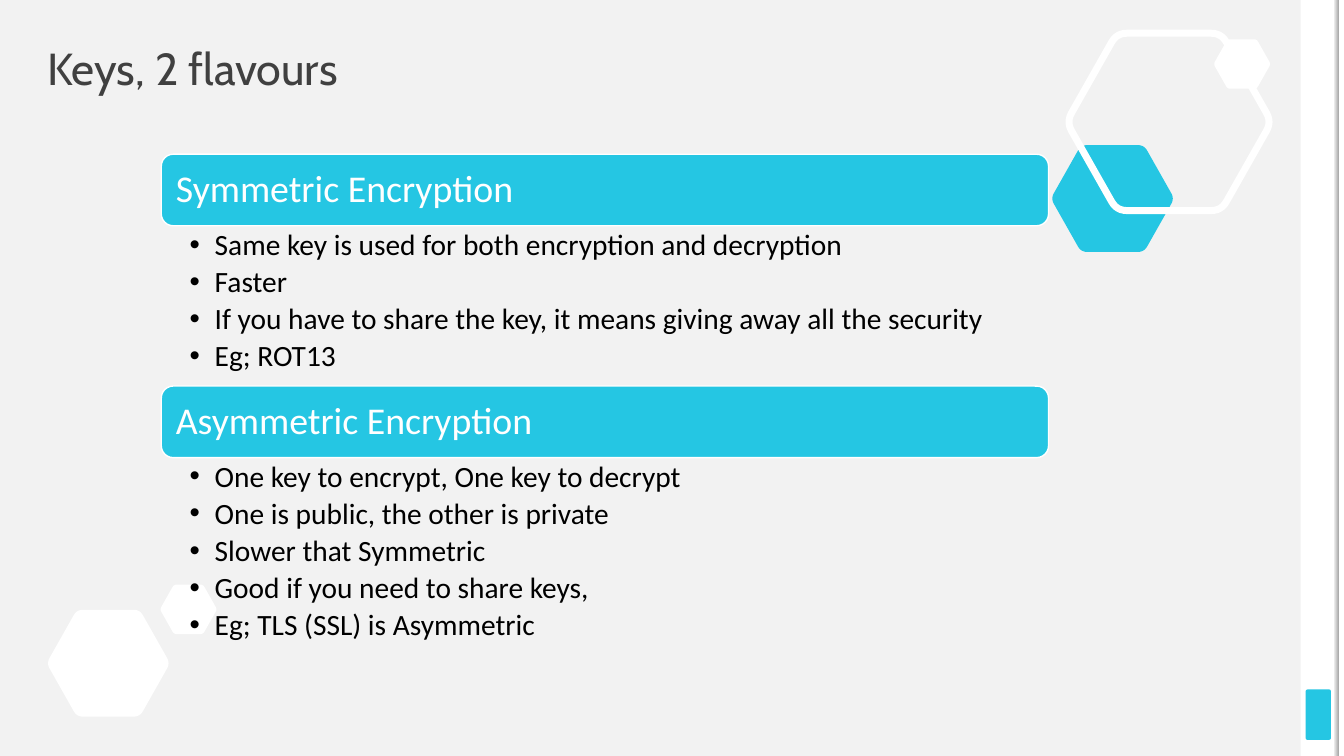
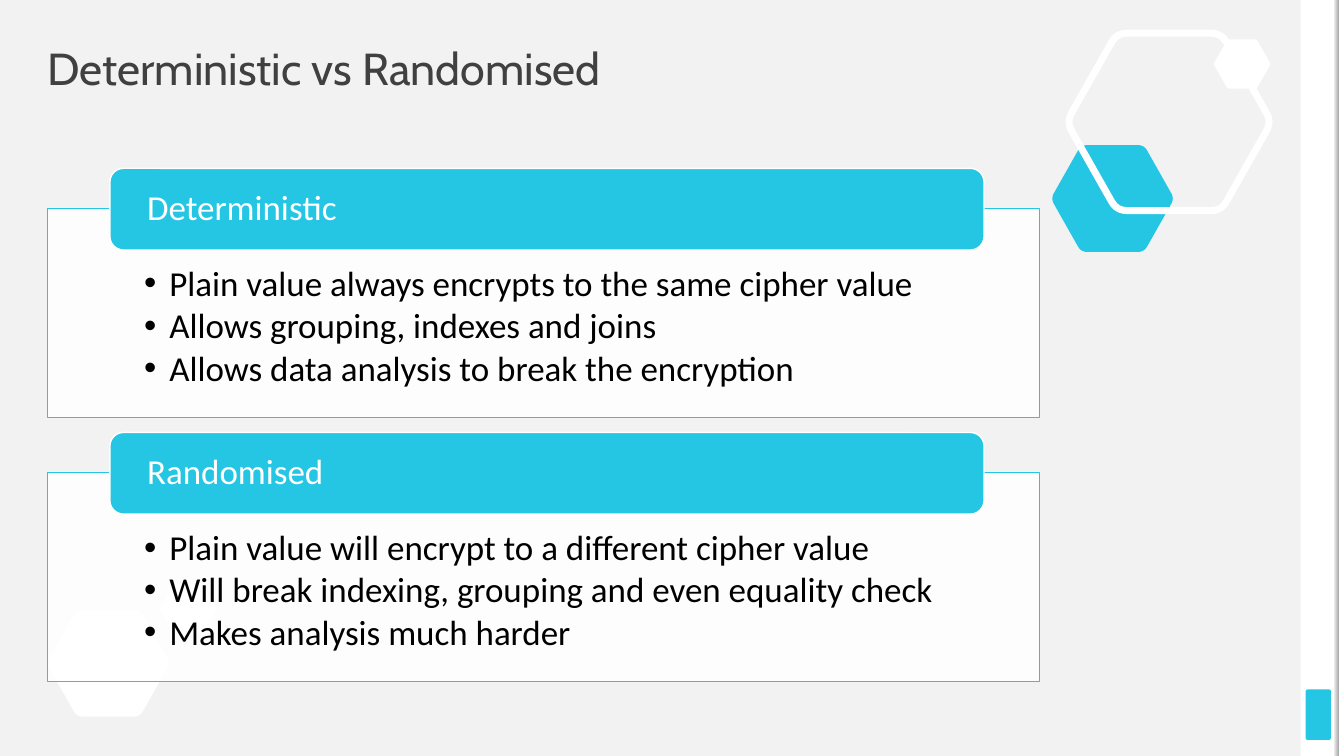
"""Build two slides on encryption keys and encryption types."""
from lxml import etree
from pptx import Presentation
from pptx.dml.color import RGBColor
from pptx.enum.shapes import MSO_SHAPE
from pptx.enum.text import MSO_ANCHOR, PP_ALIGN
from pptx.oxml.ns import qn
from pptx.util import Pt

PX = 9144
SLIDE_SIZE = (1333, 750)
RECTANGLE = MSO_SHAPE.RECTANGLE
ROUNDED = MSO_SHAPE.ROUNDED_RECTANGLE
TOP, MIDDLE = MSO_ANCHOR.TOP, MSO_ANCHOR.MIDDLE
LEFT = PP_ALIGN.LEFT

WHITE, BLACK = "FFFFFF", "000000"
PAPER, EDGE_GREY, TITLE_GREY = "F2F2F2", "A6A6A6", "404040"
CYAN = "25C6E3"
TITLE_FONT, BODY_FONT = "Cabin", "Calibri"
BULLET_INDENT = 25

CORNERS = [(-0.006, 0.5), (0.242, 0), (0.758, 0),
           (1.006, 0.5), (0.758, 1), (0.242, 1)]
CORNER_CUT = 0.1
CURVE_STEPS = 6

KEY_SECTIONS = [
    ("Symmetric Encryption", 159, [
        "Same key is used for both encryption and decryption",
        "Faster",
        "If you have to share the key, it means giving away all the security",
        "Eg; ROT13",
    ]),
    ("Asymmetric Encryption", 202, [
        "One key to encrypt, One key to decrypt",
        "One is public, the other is private",
        "Slower that Symmetric",
        "Good if you need to share keys,",
        "Eg; TLS (SSL) is Asymmetric",
    ]),
]
TYPE_SECTIONS = [
    ("Deterministic", [
        "Plain value always encrypts to the same cipher value",
        "Allows grouping, indexes and joins",
        "Allows data analysis to break the encryption",
    ]),
    ("Randomised", [
        "Plain value will encrypt to a different cipher value",
        "Will break indexing, grouping and even equality check",
        "Makes analysis much harder",
    ]),
]


def px(*lengths):
    """Turn px lengths into EMU."""
    return [round(length * PX) for length in lengths]


def rgb(colour):
    """Turn a hex string into a colour."""
    return RGBColor.from_string(colour)


def paint(shape, fill=None, line=None, width=1):
    """Set the fill and line of a shape and drop its shadow."""
    shape.shadow.inherit = False
    if fill:
        shape.fill.solid()
        shape.fill.fore_color.rgb = rgb(fill)
    else:
        shape.fill.background()
    if line:
        shape.line.color.rgb = rgb(line)
        shape.line.width = Pt(width)
    else:
        shape.line.fill.background()


def add_box(slide, kind, box, fill, line=None):
    """Add a painted preset shape."""
    shape = slide.shapes.add_shape(kind, *px(*box))
    paint(shape, fill, line)
    return shape


def add_bullet(paragraph):
    """Give a paragraph a hanging bullet."""
    properties = paragraph._p.get_or_add_pPr()
    indent = px(BULLET_INDENT)[0]
    properties.set("marL", str(indent))
    properties.set("indent", str(-indent))
    etree.SubElement(properties, qn("a:buFont"), typeface="Arial")
    etree.SubElement(properties, qn("a:buChar"), char="•")


def write(shape, lines, size, colour, insets=(0, 0, 0, 0), anchor=MIDDLE,
          font=BODY_FONT, bullets=False, space_after=0):
    """Fill a shape with left-aligned paragraphs of one style."""
    frame = shape.text_frame
    frame.word_wrap = True
    frame.vertical_anchor = anchor
    (frame.margin_left, frame.margin_top,
     frame.margin_right, frame.margin_bottom) = px(*insets)
    frame.text = "\n".join(lines)
    for paragraph in frame.paragraphs:
        if bullets:
            add_bullet(paragraph)
        paragraph.alignment = LEFT
        paragraph.line_spacing = 0.9
        paragraph.space_after = Pt(space_after)
        paragraph.font.name = font
        paragraph.font.size = Pt(size)
        paragraph.font.color.rgb = rgb(colour)


def hexagon_points(left, top, width, height):
    """Return the outline of a hexagon with rounded corners."""
    points = []
    for index, corner in enumerate(CORNERS):
        neighbours = CORNERS[index - 1], CORNERS[(index + 1) % len(CORNERS)]
        start, end = [
            [c + (n - c) * CORNER_CUT for c, n in zip(corner, neighbour)]
            for neighbour in neighbours]
        for step in range(CURVE_STEPS + 1):
            t = step / CURVE_STEPS
            x, y = [(1 - t) ** 2 * s + 2 * t * (1 - t) * c + t ** 2 * e
                    for s, c, e in zip(start, corner, end)]
            points.append(px(left + x * width, top + y * height))
    return points


def add_hexagon(slide, box, fill=None, line=None):
    """Add a rounded hexagon."""
    first, *others = hexagon_points(*box)
    builder = slide.shapes.build_freeform(*first)
    builder.add_line_segments(others, close=True)
    paint(builder.convert_to_shape(), fill, line, 5)


def add_edge(slide):
    """Draw the band along the right edge."""
    add_box(slide, RECTANGLE, (1290, 0, 39, 750), WHITE)
    tab = add_box(slide, ROUNDED, (1295, 684, 25, 50), CYAN)
    tab.adjustments[0] = 0.07
    add_box(slide, RECTANGLE, (1328, 0, 5, 750), WHITE)
    shade = add_box(slide, RECTANGLE, (1323, 0, 5, 750), PAPER)
    shade.fill.gradient()
    shade.fill.gradient_angle = 0
    for stop, (position, colour) in zip(shade.fill.gradient_stops,
                                        [(0, PAPER), (1, EDGE_GREY)]):
        stop.position = position
        stop.color.rgb = rgb(colour)


def add_base_slide(presentation, title):
    """Add a slide with the shared background, ornaments and title."""
    slide = presentation.slides.add_slide(presentation.slide_layouts[6])
    slide.background.fill.solid()
    slide.background.fill.fore_color.rgb = rgb(PAPER)
    add_edge(slide)
    add_hexagon(slide, (47, 605, 121, 106), WHITE)
    add_hexagon(slide, (1043, 144, 121, 106), CYAN)
    add_hexagon(slide, (1059, 33, 201, 176), line=WHITE)
    add_hexagon(slide, (159, 580, 56, 49), WHITE)
    add_hexagon(slide, (1204, 39, 56, 49), WHITE)
    title_box = slide.shapes.add_textbox(*px(47, 47, 1239, 47))
    write(title_box, [title], 32, TITLE_GREY, font=TITLE_FONT)
    return slide


def add_banner(slide, box, heading, size, inset):
    """Add a rounded heading bar."""
    banner = add_box(slide, ROUNDED, box, CYAN, WHITE)
    write(banner, [heading], size, WHITE, (inset, 0, inset, 0))


def add_list(slide, top, height, lines):
    """Add an unframed bullet list."""
    box = slide.shapes.add_textbox(*px(160, top, 880, height))
    write(box, lines, 21, BLACK, (28, 4, 21, 4), TOP,
          bullets=True, space_after=3.8)


def add_panel(slide, top, lines):
    """Add a framed, slightly transparent bullet list."""
    panel = add_box(slide, RECTANGLE, (47, top, 984, 207), WHITE, CYAN)
    colour = panel.fill._xPr.find(qn("a:solidFill"))[0]
    etree.SubElement(colour, qn("a:alpha"), val="90000")
    write(panel, lines, 25, BLACK, (96, 57, 96, 19), TOP,
          bullets=True, space_after=3.3)


def add_keys_slide(presentation):
    """Add the slide on the two flavours of keys."""
    slide = add_base_slide(presentation, "Keys, 2 flavours")
    top, banner_height = 153, 71
    for heading, list_height, lines in KEY_SECTIONS:
        add_banner(slide, (160, top, 880, banner_height), heading, 27, 11)
        add_list(slide, top + banner_height, list_height, lines)
        top += banner_height + list_height


def add_types_slide(presentation):
    """Add the slide comparing the two encryption types."""
    slide = add_base_slide(presentation, "Deterministic vs Randomised")
    for index, (heading, lines) in enumerate(TYPE_SECTIONS):
        top = 167 + index * 262
        add_panel(slide, top + 40, lines)
        add_banner(slide, (109, top, 867, 81), heading, 25, 33)


def main():
    """Build and save the presentation."""
    presentation = Presentation()
    presentation.slide_width, presentation.slide_height = px(*SLIDE_SIZE)
    add_keys_slide(presentation)
    add_types_slide(presentation)
    presentation.save("out.pptx")


if __name__ == "__main__":
    main()
